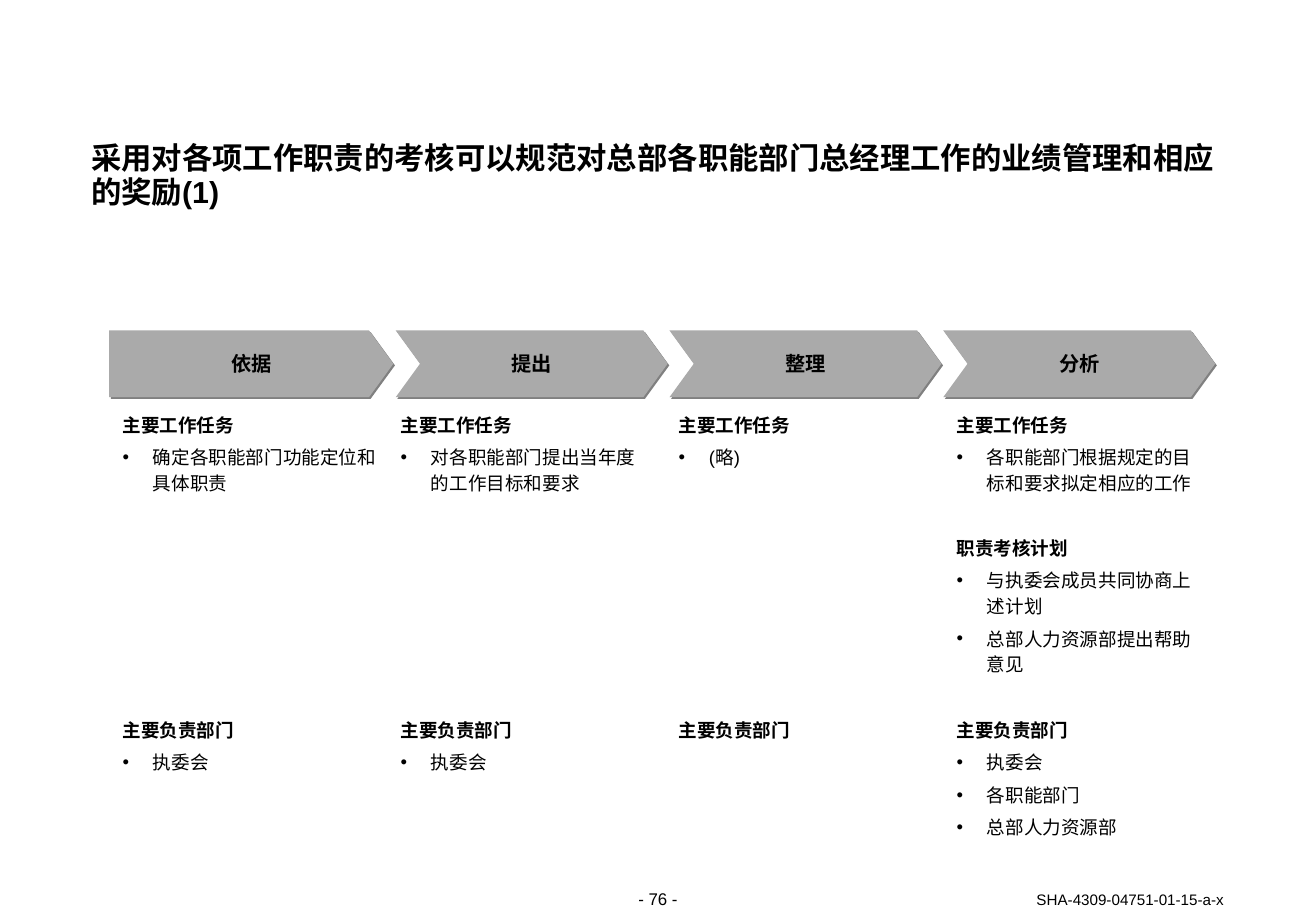
from lxml import etree
from pptx import Presentation
from pptx.dml.color import RGBColor
from pptx.enum.text import MSO_ANCHOR, PP_ALIGN
from pptx.oxml.ns import qn
from pptx.util import Inches, Pt

LEFT, CENTER, RIGHT = PP_ALIGN.LEFT, PP_ALIGN.CENTER, PP_ALIGN.RIGHT
TOP, MIDDLE, BOTTOM = MSO_ANCHOR.TOP, MSO_ANCHOR.MIDDLE, MSO_ANCHOR.BOTTOM

COLORS = {"text": "000000", "arrow": "AAAAAA", "shadow": "808080"}
FONT = "Arial"

ARROW_TOP, ARROW_HEIGHT, ARROW_TIP = 2.72, 0.55, 0.2
FIRST_ARROW_LEFT, FIRST_ARROW_WIDTH = 0.9, 2.34
ARROW_LEFT, ARROW_WIDTH, ARROW_PITCH = 3.26, 2.24, 2.255
COLUMN_LEFT, COLUMN_WIDTH, COLUMN_PITCH = 1.01, 2.08, 2.29
FIRST_TASKS_WIDTH = 2.15
TASKS_TOP, DEPARTMENTS_TOP = 3.38, 5.89
INDENT = 0.25
ITEM_GAP, SECTION_GAP = 4.1, 23.4

TASKS, DEPARTMENTS = "主要工作任务", "主要负责部门"

# Each step: name, sections of tasks, departments in charge
STEPS = [
    ("依据", [(TASKS, ["确定各职能部门功能定位和具体职责"])], ["执委会"]),
    ("提出", [(TASKS, ["对各职能部门提出当年度的工作目标和要求"])], ["执委会"]),
    ("整理", [(TASKS, ["(略)"])], []),
    ("分析", [
        (TASKS, ["各职能部门根据规定的目标和要求拟定相应的工作"]),
        ("职责考核计划", ["与执委会成员共同协商上述计划", "总部人力资源部提出帮助意见"]),
    ], ["执委会", "各职能部门", "总部人力资源部"]),
]


def add_run(paragraph, text, size, bold=False):
    run = paragraph.add_run()
    run.text = text
    run.font.name = FONT
    run.font.size = Pt(size)
    run.font.bold = bold
    run.font.color.rgb = RGBColor.from_string(COLORS["text"])


def prepare_frame(shape, anchor=TOP, wrap=True):
    frame = shape.text_frame
    frame.margin_left = frame.margin_right = 0
    frame.margin_top = frame.margin_bottom = 0
    frame.vertical_anchor = anchor
    frame.word_wrap = wrap
    return frame


def add_text_box(slide, left, top, width, height, anchor=TOP):
    box = slide.shapes.add_textbox(
        Inches(left), Inches(top), Inches(width), Inches(height))
    return prepare_frame(box, anchor)


def write_line(frame, text, size, alignment=LEFT, bold=False, spacing=None):
    paragraph = frame.paragraphs[0]
    paragraph.alignment = alignment
    if spacing:
        paragraph.line_spacing = Pt(spacing)
    add_run(paragraph, text, size, bold)


def add_shadow(shape):
    shape.shadow.inherit = False
    effects = shape._element.spPr.find(qn("a:effectLst"))
    shadow = etree.SubElement(effects, qn("a:outerShdw"), dist=str(Pt(1.4)),
                              dir="2700000", algn="ctr", rotWithShape="0")
    etree.SubElement(shadow, qn("a:srgbClr"), val=COLORS["shadow"])


def add_arrow(slide, left, width, name, notched):
    right, bottom = left + width, ARROW_TOP + ARROW_HEIGHT
    middle = ARROW_TOP + ARROW_HEIGHT / 2
    points = [(right - ARROW_TIP, ARROW_TOP), (right, middle),
              (right - ARROW_TIP, bottom), (left, bottom)]
    if notched:
        points.append((left + ARROW_TIP, middle))
    builder = slide.shapes.build_freeform(Inches(left), Inches(ARROW_TOP))
    builder.add_line_segments([(Inches(x), Inches(y)) for x, y in points])
    arrow = builder.convert_to_shape()
    arrow.fill.solid()
    arrow.fill.fore_color.rgb = RGBColor.from_string(COLORS["arrow"])
    arrow.line.fill.background()
    add_shadow(arrow)
    frame = prepare_frame(arrow, MIDDLE, wrap=False)
    write_line(frame, name, 12, CENTER, bold=True, spacing=14)


def format_list_paragraph(paragraph, bulleted):
    properties = paragraph._p.get_or_add_pPr()
    properties.set("marL", str(Inches(INDENT)))
    properties.set("indent", str(-Inches(INDENT)))
    paragraph.line_spacing = 1.15
    if bulleted:
        color = etree.SubElement(properties, qn("a:buClr"))
        etree.SubElement(color, qn("a:srgbClr"), val=COLORS["text"])
        etree.SubElement(properties, qn("a:buFont"), typeface=FONT)
        etree.SubElement(properties, qn("a:buChar"), char="•")
    else:
        etree.SubElement(properties, qn("a:buNone"))


def add_sections(slide, left, top, width, height, sections):
    """Add one text box of bold headings, each followed by its bullets."""
    frame = add_text_box(slide, left, top, width, height)
    for section_index, (heading, items) in enumerate(sections):
        for item_index, text in enumerate([heading, *items]):
            is_heading = item_index == 0
            is_first = is_heading and section_index == 0
            paragraph = frame.paragraphs[0] if is_first else frame.add_paragraph()
            format_list_paragraph(paragraph, bulleted=not is_heading)
            if not is_first:
                paragraph.space_before = Pt(SECTION_GAP if is_heading else ITEM_GAP)
            add_run(paragraph, text, 11, bold=is_heading)


def add_step(slide, index, name, task_sections, departments):
    is_first = index == 0
    if is_first:
        add_arrow(slide, FIRST_ARROW_LEFT, FIRST_ARROW_WIDTH, name, notched=False)
    else:
        arrow_left = ARROW_LEFT + (index - 1) * ARROW_PITCH
        add_arrow(slide, arrow_left, ARROW_WIDTH, name, notched=True)
    left = COLUMN_LEFT + index * COLUMN_PITCH
    tasks_height = 2.18 if len(task_sections) > 1 else 0.69
    add_sections(slide, left, TASKS_TOP,
                 FIRST_TASKS_WIDTH if is_first else COLUMN_WIDTH,
                 tasks_height, task_sections)
    add_sections(slide, left, DEPARTMENTS_TOP, COLUMN_WIDTH,
                 0.21 + 0.27 * len(departments), [(DEPARTMENTS, departments)])


def main():
    presentation = Presentation()
    presentation.slide_width = Inches(10.84)
    presentation.slide_height = Inches(7.5)
    slide = presentation.slides.add_slide(presentation.slide_layouts[6])

    title = add_text_box(slide, 0.75, 1.17, 9.33, 0.56)
    write_line(title, "采用对各项工作职责的考核可以规范对总部各职能部门总经理工作的"
               "业绩管理和相应的奖励(1)", 18, bold=True, spacing=20)

    for index, (name, task_sections, departments) in enumerate(STEPS):
        add_step(slide, index, name, task_sections, departments)

    page_number = add_text_box(slide, 4.85, 7.32, 1.14, 0.17)
    write_line(page_number, "- 76 -", 10, CENTER)
    document_code = add_text_box(slide, 7.64, 7.33, 2.44, 0.15, BOTTOM)
    write_line(document_code, "SHA-4309-04751-01-15-a-x", 9, RIGHT, spacing=11)

    presentation.save("out.pptx")


if __name__ == "__main__":
    main()
